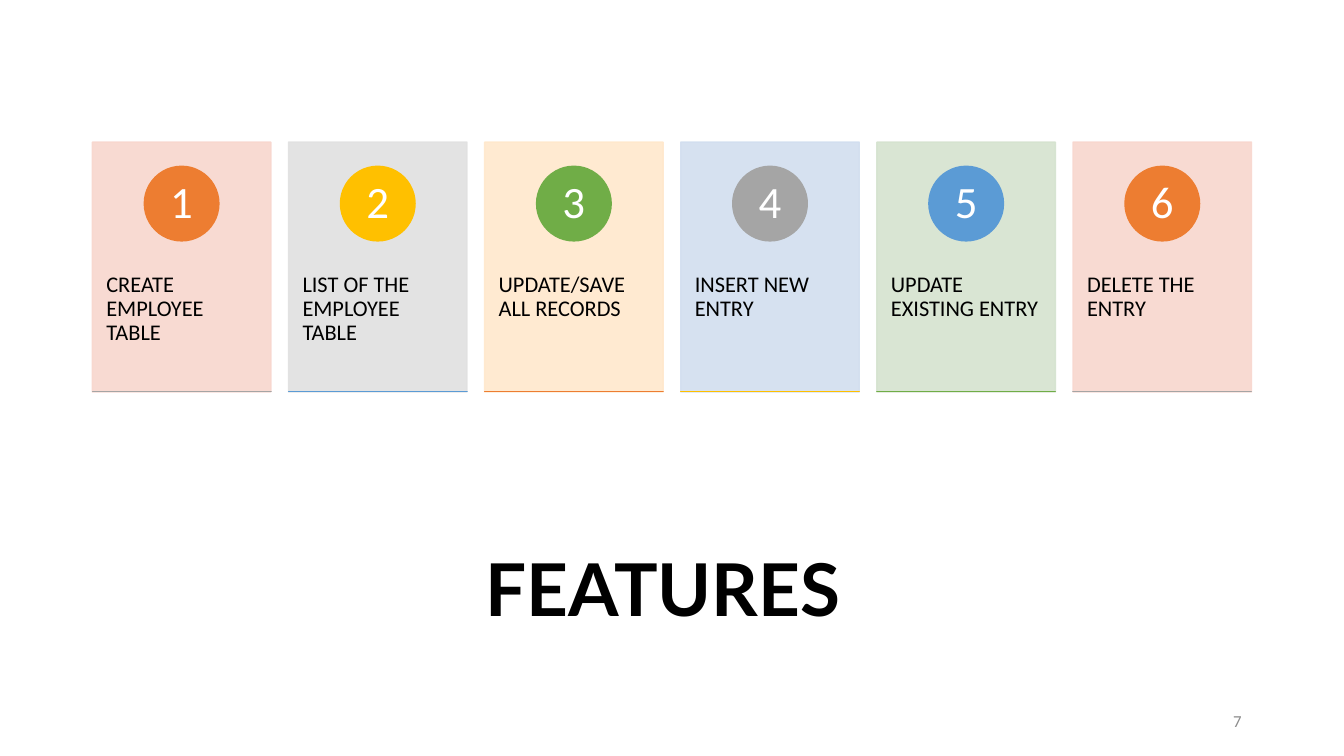
"""Build the FEATURES slide: six numbered cards above a large title."""
import pptx
import pptx.dml.color
import pptx.enum.shapes
import pptx.enum.text
import pptx.oxml.ns
import pptx.util
from lxml import etree

Pt = pptx.util.Pt
SHAPE = pptx.enum.shapes.MSO_SHAPE
ALIGN = pptx.enum.text.PP_ALIGN
ANCHOR = pptx.enum.text.MSO_ANCHOR

TITLE = "FEATURES "
PAGE_NUMBER = "7"
FEATURES = [
    ("CREATE EMPLOYEE TABLE", "F8D7CE", "ED7D31", "A5A5A5"),
    ("LIST OF THE EMPLOYEE TABLE", "E1E1E1", "FFC000", "5B9BD5"),
    ("UPDATE/SAVE ALL RECORDS", "FFE8CC", "70AD47", "ED7D31"),
    ("INSERT NEW ENTRY", "D2DEEF", "A5A5A5", "FFC000"),
    ("UPDATE EXISTING ENTRY", "D5E3CF", "5B9BD5", "70AD47"),
    ("DELETE THE ENTRY", "F8D7CE", "ED7D31", "A5A5A5"),
]

LEFT, CONTENT_WIDTH = 66, 828
CARD_TOP, CARD_WIDTH, CARD_HEIGHT = 101.5, 127.5, 178.5
CIRCLE_TOP, CIRCLE_SIZE = 118.8, 53.3
RULE_TOP, RULE_HEIGHT = 279.7, 0.01
PITCH = (CONTENT_WIDTH - CARD_WIDTH) / (len(FEATURES) - 1)


def color(value):
    return pptx.dml.color.RGBColor.from_string(value)


def write(shape, text, size, font_color, align, anchor, margins,
          font_name="Calibri", bold=False, spacing=0.9):
    frame = shape.text_frame
    frame.text = text
    frame.word_wrap = True
    frame.auto_size = pptx.enum.text.MSO_AUTO_SIZE.NONE
    frame.vertical_anchor = anchor
    frame.margin_left = frame.margin_right = Pt(margins[0])
    frame.margin_top, frame.margin_bottom = Pt(margins[1]), Pt(margins[2])
    paragraph = frame.paragraphs[0]
    paragraph.alignment = align
    paragraph.line_spacing = spacing
    font = paragraph.runs[0].font
    font.name, font.size, font.bold = font_name, Pt(size), bold
    font.color.rgb = color(font_color)


def add_block(slide, kind, left, top, width, height, fill, opacity=100):
    shape = slide.shapes.add_shape(kind, Pt(left), Pt(top), Pt(width), Pt(height))
    shape.shadow.inherit = False
    shape.fill.solid()
    shape.fill.fore_color.rgb = color(fill)
    shape.line.color.rgb = color(fill)
    shape.line.width = Pt(1)
    if opacity < 100:
        for paint in shape.element.spPr.iter(pptx.oxml.ns.qn("a:srgbClr")):
            alpha = etree.SubElement(paint, pptx.oxml.ns.qn("a:alpha"))
            alpha.set("val", str(opacity * 1000))
    return shape


def add_feature(slide, index, label, card_fill, circle_fill, rule_fill):
    left = LEFT + index * PITCH
    card = add_block(slide, SHAPE.RECTANGLE, left, CARD_TOP,
                     CARD_WIDTH, CARD_HEIGHT, card_fill, opacity=90)
    write(card, label, 16, "000000", ALIGN.LEFT, ANCHOR.TOP, (10, 93.5, 26))
    circle = add_block(slide, SHAPE.OVAL, left + (CARD_WIDTH - CIRCLE_SIZE) / 2,
                       CIRCLE_TOP, CIRCLE_SIZE, CIRCLE_SIZE, circle_fill)
    write(circle, str(index + 1), 32, "FFFFFF", ALIGN.CENTER, ANCHOR.MIDDLE, (4, 1, 1))
    add_block(slide, SHAPE.RECTANGLE, left, RULE_TOP, CARD_WIDTH, RULE_HEIGHT, rule_fill)


def main():
    presentation = pptx.Presentation()
    presentation.slide_width, presentation.slide_height = Pt(960), Pt(540)
    slide = presentation.slides.add_slide(presentation.slide_layouts[5])

    title = slide.shapes.title
    title.left, title.top = Pt(LEFT), Pt(364.5)
    title.width, title.height = Pt(CONTENT_WIDTH), Pt(118)
    write(title, TITLE, 52, "000000", ALIGN.CENTER, ANCHOR.MIDDLE, (7.2, 3.6, 3.6),
          font_name="Lato", bold=True)

    number = slide.shapes.add_textbox(Pt(678), Pt(500.5), Pt(216), Pt(28.8))
    write(number, PAGE_NUMBER, 12, "8C8C8C", ALIGN.RIGHT, ANCHOR.MIDDLE,
          (7.2, 3.6, 3.6), spacing=1.0)
    number.text_frame.paragraphs[0].space_after = Pt(6)

    for index, feature in enumerate(FEATURES):
        add_feature(slide, index, *feature)
    presentation.save("out.pptx")


if __name__ == "__main__":
    main()
